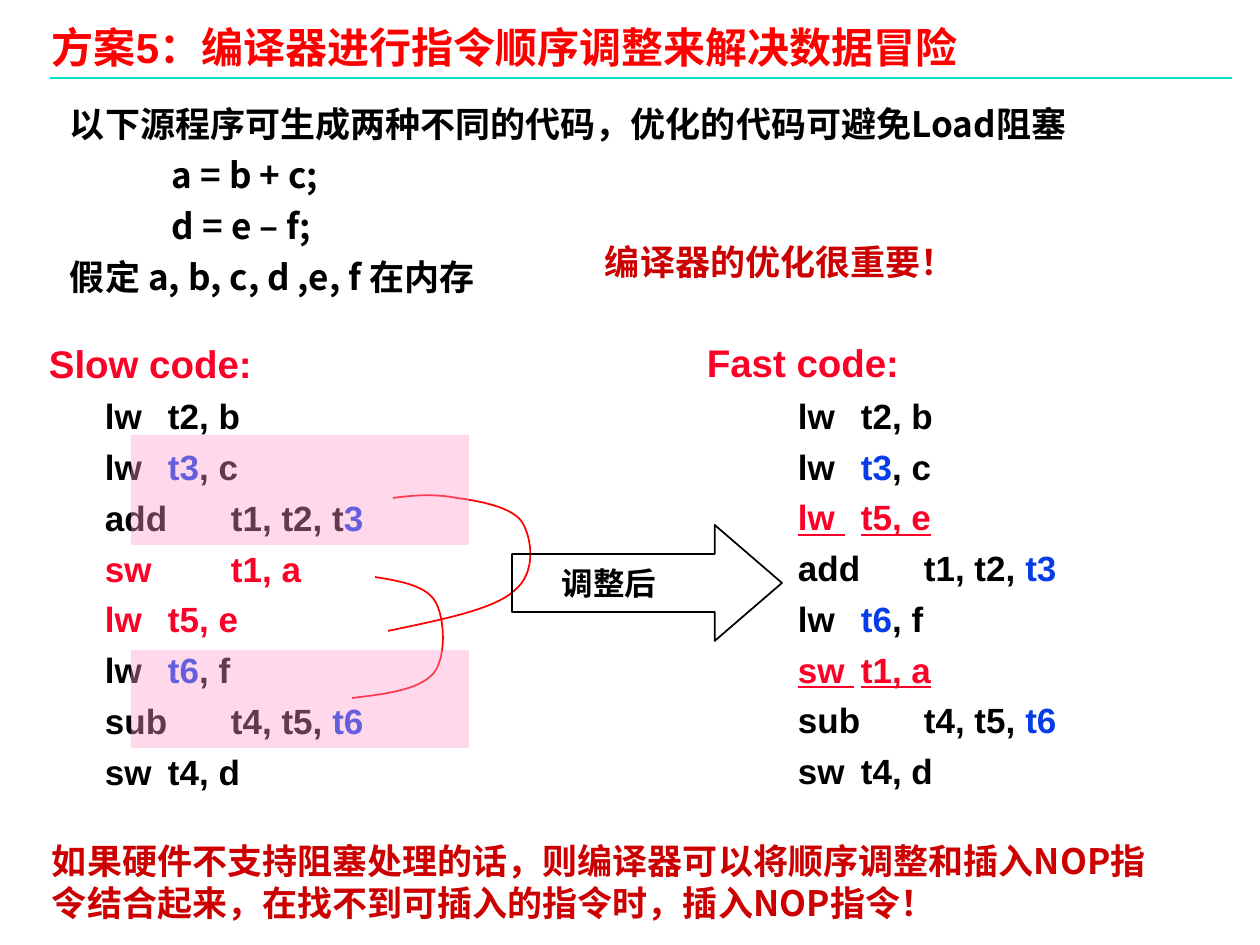
from lxml.etree import SubElement
from pptx import Presentation
from pptx.dml.color import RGBColor
from pptx.enum.shapes import MSO_CONNECTOR as CONN, MSO_SHAPE as SHAPE
from pptx.enum.text import MSO_ANCHOR as ANCHOR, PP_ALIGN as ALIGN
from pptx.oxml.ns import qn
from pptx.util import Pt

PX = 914400 / 126
CJK = "Noto Sans CJK SC"
BLACK, RED, PINK, BLUE = "000000", "FF0000", "FC0128", "063DE8"
TEAL, DARK_RED, ROSE = "00DFCA", "CC0000", "FF99CC"
WIDE, NARROW = (13, 6), (9, 4)  # side and top insets


def px(n):
    return round(n * PX)


def rgb(color):
    return RGBColor.from_string(color)


def format_frame(sp, insets):
    tf = sp.text_frame
    tf.word_wrap = True
    tf.vertical_anchor = ANCHOR.TOP
    tf.margin_left = tf.margin_right = px(insets[0])
    tf.margin_top = tf.margin_bottom = px(insets[1])
    return tf


def add_text(slide, box, insets=WIDE):
    return format_frame(slide.shapes.add_textbox(*map(px, box)), insets)


def add_run(p, text, size, color, font="Arial", underline=False):
    r = p.add_run()
    r.text = text
    r.font.size, r.font.name, r.font.bold = Pt(size), font, True
    r.font.color.rgb = rgb(color)
    if underline:
        r.font.underline = True
    SubElement(r.font._element, qn("a:ea"), typeface=CJK)


def add_para(tf, first=False, before=0, spacing=None, hang=0):
    p = tf.paragraphs[0] if first else tf.add_paragraph()
    p.alignment = ALIGN.LEFT
    p.space_before = Pt(0 if first else before)
    if spacing:
        p.line_spacing = spacing
    # Hanging indent and one tab stop per inch
    pPr = p._p.get_or_add_pPr()
    pPr.set("marL", str(px(hang)))
    pPr.set("indent", str(-px(hang)))
    SubElement(pPr, qn("a:buNone"))
    tabs = SubElement(pPr, qn("a:tabLst"))
    for inch in range(8):
        SubElement(tabs, qn("a:tab"), pos=str(inch * 914400), algn="l")
    return p


def add_title(slide, box, text):
    sp = slide.shapes.title
    sp.left, sp.top, sp.width, sp.height = map(px, box)
    p = add_para(format_frame(sp, NARROW), first=True, spacing=0.87)
    add_run(p, text, 24, RED)


def add_rule(slide, x1, x2, y):
    line = slide.shapes.add_connector(CONN.STRAIGHT, px(x1), px(y), px(x2), px(y))
    line.line.color.rgb = rgb(TEAL)
    line.line.width = Pt(1)
    SubElement(line._element.spPr, qn("a:effectLst"))


def add_intro(slide, box, lines):
    tf = add_text(slide, box)
    for i, text in enumerate(lines):
        p = add_para(tf, i == 0, before=7.5, spacing=0.9, hang=39)
        add_run(p, text, 20, BLACK, CJK)


def add_note(slide, box, text, size=20, color=DARK_RED, font=CJK):
    add_run(add_para(add_text(slide, box), first=True), text, size, color, font)


def add_code(slide, box, heading, code, insets, indent, spacing=None, hang=0):
    """Heading followed by one tabbed paragraph per instruction."""
    tf = add_text(slide, box, insets)
    p = add_para(tf, first=True, spacing=spacing, hang=hang)
    for run in heading:
        add_run(p, *run)
    for runs in code:
        p = add_para(tf, before=5, hang=hang)
        add_run(p, indent, 20, BLACK)
        for text, color, *underline in runs:
            add_run(p, text, 20, color, "Arial", bool(underline))


def bezier(p0, p1, p2, p3, steps=16):
    for i in range(1, steps + 1):
        t = i / steps
        u = 1 - t
        yield tuple(px(u**3 * a + 3 * u * u * t * b + 3 * u * t * t * c + t**3 * d)
                    for a, b, c, d in zip(p0, p1, p2, p3))


def add_curve(slide, points):
    """Smooth line through a start point and triples of Bezier points."""
    builder = slide.shapes.build_freeform(*map(px, points[0]))
    for i in range(0, len(points) - 1, 3):
        builder.add_line_segments(list(bezier(*points[i:i + 4])), close=False)
    outline(builder.convert_to_shape(), RED)


def outline(sp, color):
    sp.shadow.inherit = False
    sp.fill.background()
    sp.line.color.rgb = rgb(color)
    sp.line.width = Pt(1)


def add_arrow(slide, box, label):
    x, y, w, h = box
    sp = slide.shapes.add_shape(SHAPE.RIGHT_ARROW, *map(px, box))
    sp.adjustments[0], sp.adjustments[1] = 0.5, 0.58
    outline(sp, BLACK)
    add_note(slide, (x + 37, y + 33, 140, 50), label, 18, BLACK, "Times New Roman")


def add_highlight(slide, box):
    sp = slide.shapes.add_shape(SHAPE.RECTANGLE, *map(px, box))
    sp.shadow.inherit = False
    sp.line.fill.background()
    sp.fill.solid()
    sp.fill.fore_color.rgb = rgb(ROSE)
    color = sp._element.spPr.find(qn("a:solidFill"))[0]
    SubElement(color, qn("a:alpha"), val="38000")


INTRO = ["以下源程序可生成两种不同的代码，优化的代码可避免Load阻塞",
         "\t\ta = b + c;", "\t\td = e – f;", "假定 a, b, c, d ,e, f 在内存"]

# Instructions that both listings share
LOAD_B = [("lw \tt2, b", BLACK)]
LOAD_C = [("lw \t", BLACK), ("t3", BLUE), (", c", BLACK)]
LOAD_F = [("lw \t", BLACK), ("t6", BLUE), (", f", BLACK)]
SUB = [("sub \tt4, t5, ", BLACK), ("t6", BLUE)]
STORE_D = [("sw\tt4, d", BLACK)]

SLOW = [LOAD_B, LOAD_C, [("add \tt1, t2, t", BLACK), ("3", BLUE)],
        [("sw  \tt1, a", PINK)], [("lw \tt5, e", PINK)], LOAD_F, SUB, STORE_D]
FAST = [LOAD_B, LOAD_C, [("lw \tt5, e", PINK, True)],
        [("add \tt1, t2, ", BLACK), ("t3", BLUE)], LOAD_F,
        [("sw \tt1, a", PINK, True)], SUB, STORE_D]

# Reordering links between instructions
LOAD_LINK = [(388, 631), (440, 620), (493, 610), (514, 591),
             (537, 573), (532, 538), (522, 522),
             (512, 507), (479, 501), (457, 498), (436, 494), (415, 495), (393, 498)]
STORE_LINK = [(375, 577), (401, 581), (426, 586), (435, 601),
              (445, 617), (447, 658), (433, 674), (418, 690), (386, 694), (352, 698)]


def main():
    prs = Presentation()
    prs.slide_width, prs.slide_height = px(1260), px(945)
    slide = prs.slides.add_slide(prs.slide_layouts[5])

    # Title and source program
    add_rule(slide, 50, 1232, 78)
    add_intro(slide, (57, 101, 1100, 707), INTRO)
    add_title(slide, (43, 24, 1033, 50), "方案5：编译器进行指令顺序调整来解决数据冒险")

    # Code before and after reordering
    add_code(slide, (698, 340, 494, 461), [("Fast code:", 22, PINK)], FAST,
             NARROW, "\t\t", spacing=0.9, hang=28)
    for link in (LOAD_LINK, STORE_LINK):
        add_curve(slide, link)
    add_code(slide, (29, 334, 566, 469),
             [(" ", 16, BLACK, "Times New Roman"), ("Slow code:", 22, PINK)],
             SLOW, WIDE, "\t")
    add_arrow(slide, (512, 525, 270, 116), "调整后")

    # Remarks and stalled instruction pairs
    add_note(slide, (592, 234, 508, 55), "编译器的优化很重要！", font="Arial")
    for top, height in ((435, 110), (650, 98)):
        add_highlight(slide, (131, top, 338, height))
    add_note(slide, (39, 833, 1152, 97),
             "如果硬件不支持阻塞处理的话，则编译器可以将顺序调整和插入NOP指令结合起来，"
             "在找不到可插入的指令时，插入NOP指令！")

    prs.save("out.pptx")


if __name__ == "__main__":
    main()
